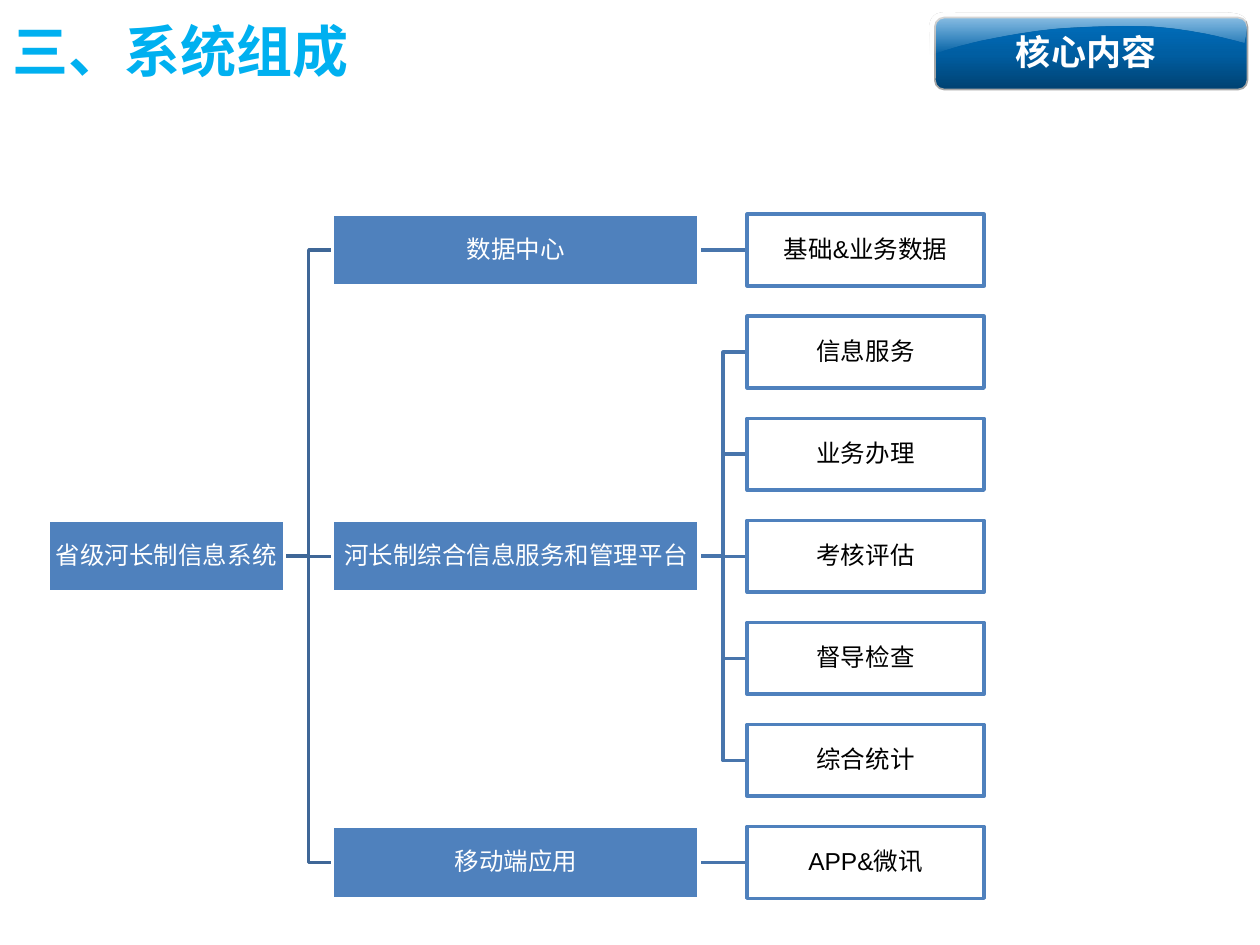
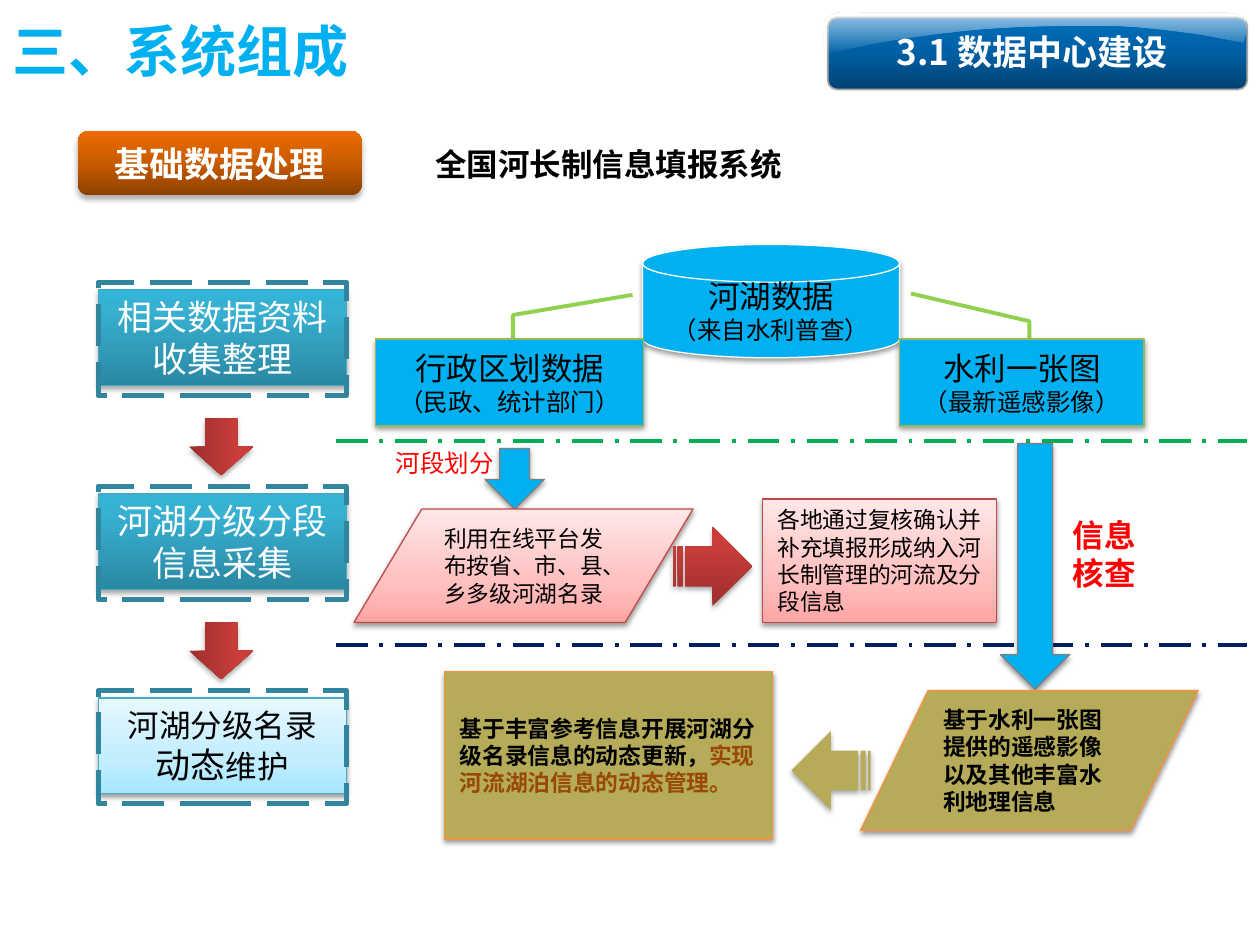
"""Build two slides on the components of a provincial river-chief information system."""
import dataclasses
from typing import NamedTuple, Optional

import lxml.etree
import pptx
import pptx.dml.color
import pptx.enum.dml
import pptx.enum.shapes
import pptx.enum.text
import pptx.oxml.ns
import pptx.presentation
import pptx.shapes.autoshape
import pptx.shapes.connector
import pptx.slide
import pptx.text.text
import pptx.util

COLORS = {
    "white": "FFFFFF", "black": "000000", "red": "FF0000", "title": "00B0F0", "sky": "00B0F0",
    "node": "4F81BD", "trunk": "3F6797", "branch": "4875AC", "button_edge": "A6A6A6",
    "stage_edge": "46AAC5", "stage_frame": "31859C", "source_edge": "98B955", "link": "92D050",
    "arrow_edge": "808080", "pink_edge": "BF4C48", "olive": "B6AB58", "olive_edge": "F69240",
    "emphasis": "984807", "upper_rule": "00B050", "lower_rule": "002060",
}
GRADIENTS = {
    "button": ((0, "004272"), (50, "005EA2"), (100, "0070C0")),
    "teal": ((0, "2A88A2"), (80, "37B1D2"), (100, "34B4D6")),
    "pale": ((0, "A7E6FF"), (35, "C1EDFF"), (100, "E7F8FF")),
    "crimson": ((0, "9C2F2D"), (80, "CB3E3A"), (100, "CE3B37")),
    "pink": ((0, "FFA6A5"), (35, "FFC0BF"), (100, "FFE7E7")),
    "orange": ((0, "8D4000"), (50, "C85B00"), (100, "EE6B00")),
    "gloss": ((0, "FFFFFF", 45), (13, "FFFFFF", 53), (98, "FFFFFF", 0)),
}
CJK_FONT = "Noto Sans CJK SC"
GLOSS_CURVE = (
    (.01, .97), (.11, .69), (.22, .56), (.33, .44), (.44, .33), (.59, .31), (.7, .33),
    (.81, .39), (.89, .5), (.99, .69), (1, .39), (1, .22), (.99, .14), (.97, 0), (.92, .03),
    (.88, .03), (.62, .03), (.37, .03), (.11, .03), (.08, .03), (.05, 0), (.03, .06),
    (0, .19), (.01, .44), (.01, .56), (.01, .69), (.01, .83), (.01, .97),
)
MSO_SHAPE = pptx.enum.shapes.MSO_SHAPE
MSO_CONNECTOR = pptx.enum.shapes.MSO_CONNECTOR
PP_ALIGN = pptx.enum.text.PP_ALIGN
DASH = pptx.enum.dml.MSO_LINE


class Run(NamedTuple):
    """A stretch of text in one format."""
    text: str
    size: float
    color: str = "black"
    bold: bool = False
    font: str = CJK_FONT


class Shadow(NamedTuple):
    """A downward shadow: opacity in percent, lengths in points."""
    opacity: int
    blur: float
    distance: float


STRONG = Shadow(35, 3.1, 1.8)
SOFT = Shadow(38, 3.1, 1.6)
DEEP = Shadow(32, 3.5, 2.2)


@dataclasses.dataclass(frozen=True)
class Block:
    """A preset shape with its paragraphs of runs."""
    at: tuple[float, float, float, float]
    text: tuple[tuple[Run, ...], ...] = ()
    fill: Optional[str] = None
    edge: Optional[str] = None
    edge_pt: float = 0.75
    shadow: Optional[Shadow] = None
    outline: MSO_SHAPE = MSO_SHAPE.RECTANGLE
    align: PP_ALIGN = PP_ALIGN.CENTER
    inset: tuple[float, float] = (0.12, 0.06)
    spacing: float = 1.0
    turn: float = 0
    dash: Optional[DASH] = None


def inches(values: tuple[float, ...]) -> list[pptx.util.Length]:
    """Convert numbers to lengths."""
    return [pptx.util.Inches(value) for value in values]


def rgb(name: str) -> pptx.dml.color.RGBColor:
    """Look up a named colour."""
    return pptx.dml.color.RGBColor.from_string(COLORS[name])


def add_child(parent: lxml.etree._Element, tag: str, **attributes: object) -> lxml.etree._Element:
    """Append a DrawingML element."""
    texts = {key: str(value) for key, value in attributes.items()}
    return lxml.etree.SubElement(parent, pptx.oxml.ns.qn(tag), texts)


def paint(shape: pptx.shapes.autoshape.Shape, fill: Optional[str], angle: float = 90) -> None:
    """Fill a shape with a colour, a gradient or nothing."""
    if fill is None:
        shape.fill.background()
    elif fill in GRADIENTS:
        shape.fill.gradient()
        shape.fill.gradient_angle = angle
        stops = shape.element.spPr.find(".//" + pptx.oxml.ns.qn("a:gsLst"))
        stops.clear()
        for position, color, *opacity in GRADIENTS[fill]:
            stop = add_child(stops, "a:gs", pos=position * 1000)
            tone = add_child(stop, "a:srgbClr", val=color)
            for percent in opacity:
                add_child(tone, "a:alpha", val=percent * 1000)
    else:
        shape.fill.solid()
        shape.fill.fore_color.rgb = rgb(fill)


def cast_shadow(shape: pptx.shapes.autoshape.Shape, shadow: Optional[Shadow]) -> None:
    """Replace the theme shadow by the given one."""
    shape.shadow.inherit = False
    if shadow:
        effects = shape.element.spPr.find(pptx.oxml.ns.qn("a:effectLst"))
        outer = add_child(effects, "a:outerShdw", blurRad=pptx.util.Pt(shadow.blur),
                          dist=pptx.util.Pt(shadow.distance), dir=5400000, rotWithShape=0)
        tone = add_child(outer, "a:srgbClr", val=COLORS["black"])
        add_child(tone, "a:alpha", val=shadow.opacity * 1000)


def write(frame: pptx.text.text.TextFrame, block: Block) -> None:
    """Write the paragraphs of a block run by run."""
    frame.word_wrap = True
    frame.vertical_anchor = pptx.enum.text.MSO_ANCHOR.MIDDLE
    frame.margin_left = frame.margin_right = pptx.util.Inches(block.inset[0])
    frame.margin_top = frame.margin_bottom = pptx.util.Inches(block.inset[1])
    for index, runs in enumerate(block.text):
        paragraph = frame.add_paragraph() if index else frame.paragraphs[0]
        paragraph.alignment = block.align
        paragraph.line_spacing = block.spacing
        for wording in runs:
            run = paragraph.add_run()
            run.text = wording.text
            run.font.name = wording.font
            run.font.size = pptx.util.Pt(wording.size)
            run.font.bold = wording.bold
            run.font.color.rgb = rgb(wording.color)
            add_child(run.font._element, "a:ea", typeface=CJK_FONT)


def draw(slide: pptx.slide.Slide, block: Block) -> pptx.shapes.autoshape.Shape:
    """Draw one block."""
    shape = slide.shapes.add_shape(block.outline, *inches(block.at))
    shape.rotation = block.turn
    paint(shape, block.fill)
    if block.edge:
        shape.line.color.rgb = rgb(block.edge)
        shape.line.width = pptx.util.Pt(block.edge_pt)
        if block.dash:
            shape.line.dash_style = block.dash
    else:
        shape.line.fill.background()
    cast_shadow(shape, block.shadow)
    if block.text:
        write(shape.text_frame, block)
    return shape


def add_label(slide: pptx.slide.Slide, block: Block) -> None:
    """Write a block as a plain text box."""
    write(slide.shapes.add_textbox(*inches(block.at)).text_frame, block)


def outline_points(slide: pptx.slide.Slide, points: list[tuple[float, float]],
                   close: bool) -> pptx.shapes.autoshape.Shape:
    """Draw a freeform through points given in inches."""
    start, *others = [tuple(inches(point)) for point in points]
    builder = slide.shapes.build_freeform(*start)
    builder.add_line_segments(others, close=close)
    shape = builder.convert_to_shape()
    shape.shadow.inherit = False
    return shape


def gloss_points(left: float, width: float) -> list[tuple[float, float]]:
    """Sample the cubic curves of the button's highlight."""
    points = [GLOSS_CURVE[0]]
    for start in range(0, len(GLOSS_CURVE) - 1, 3):
        corners = GLOSS_CURVE[start:start + 4]
        for step in range(1, 13):
            t = step / 12
            weights = ((1 - t) ** 3, 3 * t * (1 - t) ** 2, 3 * t * t * (1 - t), t ** 3)
            points.append(tuple(sum(w * corner[axis] for w, corner in zip(weights, corners))
                                for axis in (0, 1)))
    return [(left + x * width, 0.09 + y * 0.36) for x, y in points]


def add_line(slide: pptx.slide.Slide, kind: MSO_CONNECTOR, ends: tuple[float, ...], color: str,
             width: float) -> pptx.shapes.connector.Connector:
    """Draw a connector without shadow."""
    connector = slide.shapes.add_connector(kind, *inches(ends))
    connector.line.color.rgb = rgb(color)
    connector.line.width = pptx.util.Pt(width)
    add_child(connector.element.spPr, "a:effectLst")
    return connector


def start_slide(deck: pptx.presentation.Presentation, topic: str, left: float) -> pptx.slide.Slide:
    """Add a slide with the shared title and a glossy topic button."""
    slide = deck.slides.add_slide(deck.slide_layouts[5])
    heading = slide.shapes.title
    heading.left, heading.top, heading.width, heading.height = inches((0, 0, 4.42, 0.79))
    write(heading.text_frame, Block((0, 0, 4.42, 0.79), ((Run("三、系统组成", 32, "title", True),),),
                                    align=PP_ALIGN.LEFT, inset=(0.1, 0.05)))
    width = 9.9 - left
    button = draw(slide, Block((left, 0.14, width, 0.57), fill="button", edge="button_edge",
                               edge_pt=1, outline=MSO_SHAPE.ROUNDED_RECTANGLE))
    button.adjustments[0] = 0.127
    gloss = outline_points(slide, gloss_points(left - 0.06, width + 0.06), True)
    paint(gloss, "gloss", 270)
    gloss.line.fill.background()
    add_label(slide, Block((left - 0.04, 0.19, width, 0.44),
                           ((Run(topic, 20, "white", True),),), inset=(0.1, 0.05)))
    return slide


def add_node(slide: pptx.slide.Slide, text: str, left: float, row: int, width: float,
             leaf: bool = False) -> pptx.shapes.autoshape.Shape:
    """Draw a tree node on its row."""
    fill, edge, ink = ("white", "node", "black") if leaf else ("node", "white", "white")
    return draw(slide, Block((left, 1.7 + 0.81 * row, width, 0.57),
                             ((Run(text, 14, ink, font="Arial"),),), fill, edge, 2,
                             inset=(0.01, 0.01), spacing=0.9))


def join(slide: pptx.slide.Slide, parent: pptx.shapes.autoshape.Shape,
         child: pptx.shapes.autoshape.Shape, color: str) -> None:
    """Join two nodes with a connector behind them."""
    kind = MSO_CONNECTOR.STRAIGHT if parent.top == child.top else MSO_CONNECTOR.ELBOW
    connector = add_line(slide, kind, (0, 0, 0, 0), color, 2)
    connector.begin_connect(parent, 3)
    connector.end_connect(child, 1)
    connector.element.getparent().insert(2, connector.element)


def build_composition(deck: pptx.presentation.Presentation) -> None:
    """Build the tree of system components."""
    slide = start_slide(deck, "核心内容", 7.42)
    system = add_node(slide, "省级河长制信息系统", 0.38, 3, 1.88)
    branches = (
        ("数据中心", 0, ("基础&业务数据",)),
        ("河长制综合信息服务和管理平台", 3, ("信息服务", "业务办理", "考核评估", "督导检查", "综合统计")),
        ("移动端应用", 6, ("APP&微讯",)),
    )
    for name, row, functions in branches:
        branch = add_node(slide, name, 2.64, row, 2.91)
        join(slide, system, branch, "trunk")
        for offset, function in enumerate(functions, row - len(functions) // 2):
            join(slide, branch, add_node(slide, function, 5.93, offset, 1.88, True), "branch")


def build_data_center(deck: pptx.presentation.Presentation) -> None:
    """Build the data-centre workflow."""
    slide = start_slide(deck, "3.1 数据中心建设", 6.57)
    stages = (
        ("teal", STRONG, (Run("相关数据资料收集整理", 20, "white"),)),
        ("teal", STRONG, (Run("河湖分级分段信息采集", 20, "white"),)),
        ("pale", SOFT, (Run("河湖分级名录", 18), Run("动态", 20), Run("维护", 18))),
    )
    for index, (fill, shadow, runs) in enumerate(stages):
        top = 2.3 + 1.62 * index
        draw(slide, Block((0.78, top, 1.97, 0.76), (runs,), fill, "stage_edge", shadow=shadow))
        draw(slide, Block((0.78, top - 0.06, 1.97, 0.9), edge="stage_frame", edge_pt=3,
                          dash=DASH.LONG_DASH))
        if index:
            draw(slide, Block((1.53, top - 0.63, 0.45, 0.51), fill="crimson", shadow=STRONG,
                              outline=MSO_SHAPE.RIGHT_ARROW, turn=90))
    for points in ([(4.07, 2.69), (4.07, 2.5), (5.02, 2.34)],
                   [(8.17, 2.69), (8.17, 2.55), (7.23, 2.33)]):
        link = outline_points(slide, points, False)
        link.fill.background()
        link.line.color.rgb = rgb("link")
        link.line.width = pptx.util.Pt(2.25)
    for height, color in ((3.5, "upper_rule"), (5.12, "lower_rule")):
        rule = add_line(slide, MSO_CONNECTOR.STRAIGHT, (2.67, height, 9.9, height), color, 2.25)
        rule.line.dash_style = DASH.LONG_DASH_DOT
    sources = (
        ("河湖数据", "（来自水利普查）", (5.1, 1.94, 2.04, 0.9), "white", MSO_SHAPE.FLOWCHART_MAGNETIC_DISK),
        ("行政区划数据", "（民政、统计部门）", (2.98, 2.69, 2.13, 0.69), "source_edge", MSO_SHAPE.RECTANGLE),
        ("水利一张图", "（最新遥感影像）", (7.14, 2.69, 1.94, 0.69), "source_edge", MSO_SHAPE.RECTANGLE),
    )
    for name, origin, at, edge, outline in sources:
        draw(slide, Block(at, ((Run(name, 18),), (Run(origin, 14),)), "sky", edge,
                          shadow=SOFT, outline=outline))
    for at in ((3.85, 3.56, 0.47, 0.48), (7.94, 3.52, 0.55, 1.95)):
        draw(slide, Block(at, fill="sky", edge="arrow_edge", shadow=SOFT, outline=MSO_SHAPE.DOWN_ARROW))
    left, data, rounded = PP_ALIGN.LEFT, MSO_SHAPE.FLOWCHART_DATA, MSO_SHAPE.ROUNDED_RECTANGLE
    striped = MSO_SHAPE.STRIPED_RIGHT_ARROW
    steps = (
        Block((2.98, 3.41, 1.1, 0.53), ((Run("河段划分", 14, "red"),),), outline=rounded),
        Block((6.05, 3.96, 1.86, 0.98), ((Run("各地通过复核确认并补充填报形成纳入河长制管理的河流及分段信息", 13),),),
              "pink", "pink_edge", shadow=SOFT, align=left),
        Block((2.81, 4.04, 2.69, 0.9), ((Run("利用在线平台发布按省、市、县、乡多级河湖名录", 13),),),
              "pink", "pink_edge", shadow=SOFT, outline=data),
        Block((6.83, 5.48, 2.68, 1.11),
              ((Run("基于水利一张图提供的遥感影像以及其他丰富水利地理信息", 13, bold=True),),),
              "olive", "olive_edge", shadow=SOFT, outline=data, align=left),
        Block((3.53, 5.33, 2.6, 1.33),
              ((Run("基于丰富参考信息开展河湖分级名录信息的动态更新，", 13, bold=True),
                Run("实现河流湖泊信息的动态管理。", 13, "emphasis", True)),),
              "olive", "olive_edge", shadow=SOFT, align=left),
        Block((5.34, 4.18, 0.63, 0.63), fill="crimson", shadow=STRONG, outline=striped),
        Block((6.28, 5.8, 0.63, 0.63), fill="olive", shadow=STRONG, outline=striped, turn=180),
        Block((8.33, 4.13, 0.87, 0.53), ((Run("信息核查", 18, "red", True),),), outline=rounded),
        Block((0.62, 1.04, 2.25, 0.51), ((Run("基础数据处理", 20, "white", True),),), "orange",
              shadow=DEEP, outline=rounded, inset=(0.1, 0.05)),
    )
    for step in steps:
        draw(slide, step)
    add_label(slide, Block((3.34, 1.1, 2.98, 0.4), ((Run("全国河长制信息填报系统", 18, bold=True),),),
                           inset=(0.1, 0.05)))


def main() -> None:
    """Build and save the deck."""
    deck = pptx.Presentation()
    deck.slide_width, deck.slide_height = inches((10, 7.5))
    build_composition(deck)
    build_data_center(deck)
    deck.save("out.pptx")


if __name__ == "__main__":
    main()
